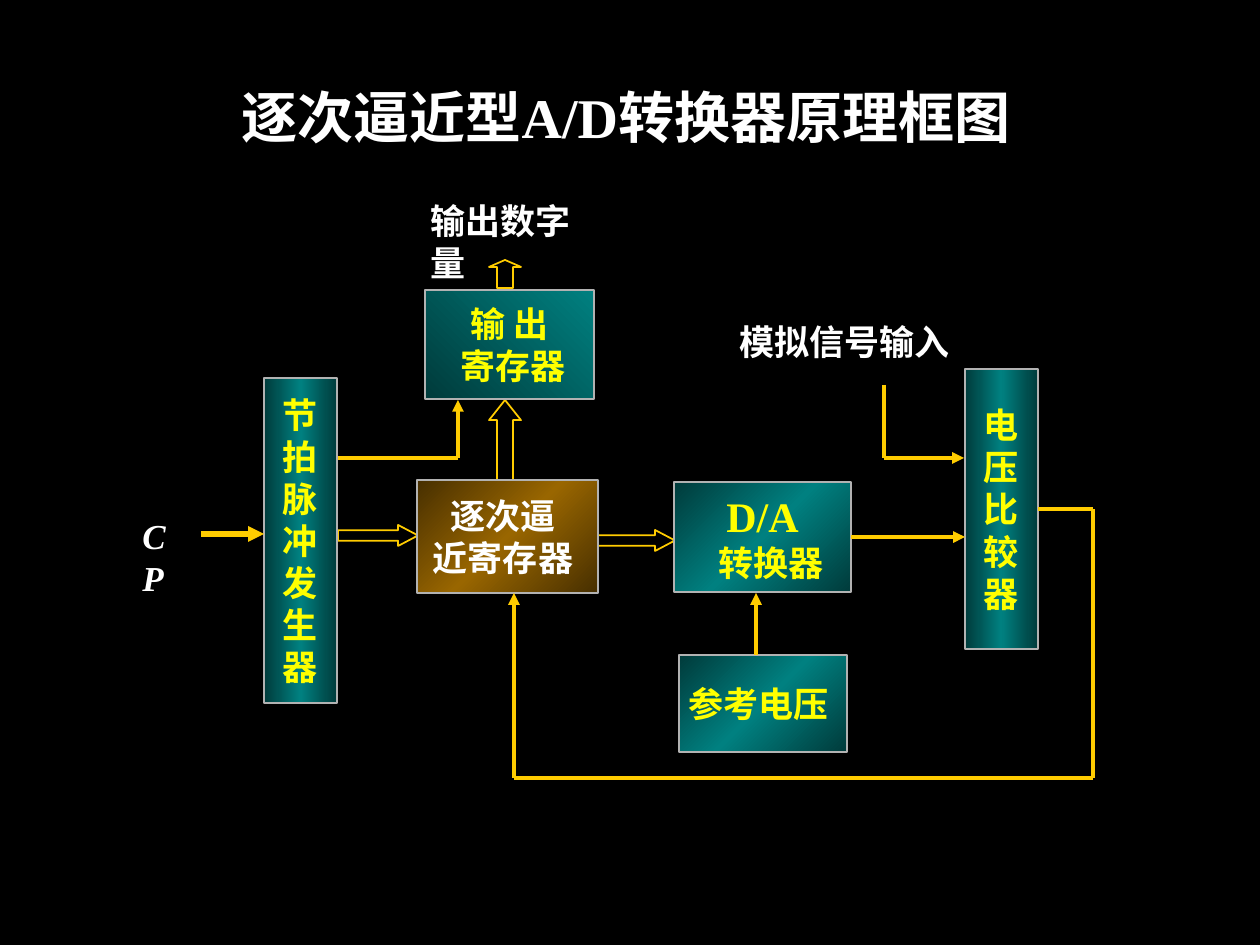
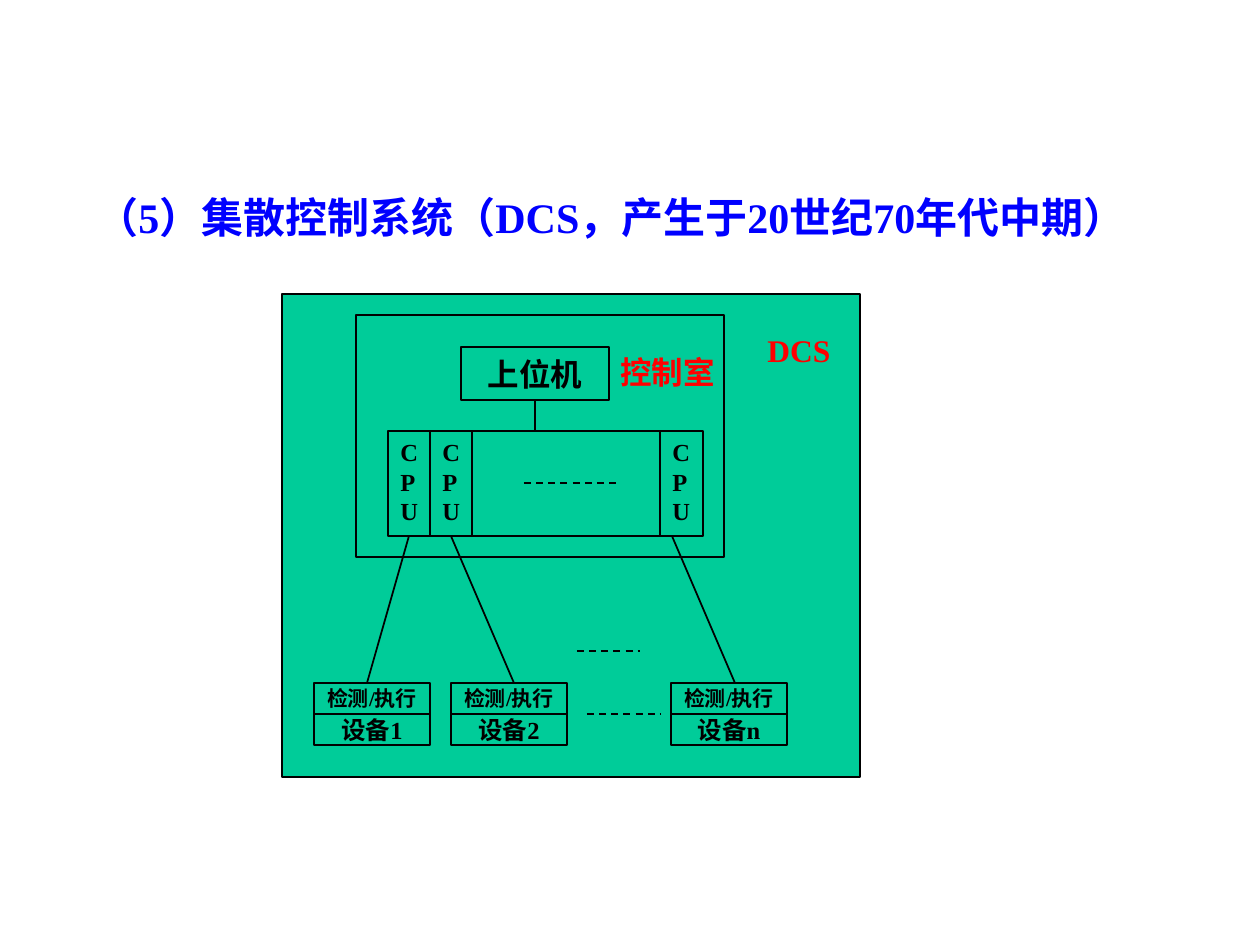
import copy
import itertools

import pptx
import pptx.util
from pptx.dml.color import RGBColor
from pptx.enum.dml import MSO_LINE
from pptx.enum.shapes import MSO_CONNECTOR, MSO_SHAPE
from pptx.enum.text import MSO_ANCHOR, MSO_AUTO_SIZE, PP_ALIGN
from pptx.oxml.ns import qn
from lxml import etree

PX = 914400 / 126
FONT = "Times New Roman"
CJK_FONT = "Noto Sans CJK SC"
BLACK = RGBColor(0x00, 0x00, 0x00)
WHITE = RGBColor(0xFF, 0xFF, 0xFF)
YELLOW = RGBColor(0xFF, 0xFF, 0x00)
GOLD = RGBColor(0xFF, 0xCC, 0x00)
GREY = RGBColor(0xB2, 0xB2, 0xB2)
BLUE = RGBColor(0x00, 0x00, 0xFF)
RED = RGBColor(0xFF, 0x00, 0x00)
GREEN = RGBColor(0x00, 0xCC, 0x99)
DARK_TEAL = RGBColor(0x00, 0x3B, 0x3B)
TEAL = RGBColor(0x00, 0x80, 0x80)
DARK_BROWN = RGBColor(0x47, 0x2F, 0x00)
BROWN = RGBColor(0x99, 0x66, 0x00)


def add_box(slide, bounds, lines=(), size=20, color=BLACK, kind=None):
    """Add a preset shape with centred text, or a plain text box if kind is None."""
    bounds = [round(length * PX) for length in bounds]
    if kind is None:
        shape = slide.shapes.add_textbox(*bounds)
        shape.text_frame.word_wrap = False
        shape.text_frame.auto_size = MSO_AUTO_SIZE.SHAPE_TO_FIT_TEXT
    else:
        shape = slide.shapes.add_shape(kind, *bounds)
        shape.shadow.inherit = False
        shape.line.width = pptx.util.Pt(1)
        frame = shape.text_frame
        frame.word_wrap = True
        frame.vertical_anchor = MSO_ANCHOR.MIDDLE
        frame.margin_left = frame.margin_right = 0
        frame.margin_top = frame.margin_bottom = 0
    if lines:
        shape.text_frame.text = "\n".join(lines)
    for paragraph in shape.text_frame.paragraphs:
        paragraph.alignment = PP_ALIGN.LEFT if kind is None else PP_ALIGN.CENTER
        paragraph.font.name = FONT
        paragraph.font.size = pptx.util.Pt(size)
        paragraph.font.bold = True
        paragraph.font.color.rgb = color
    return shape


def add_path(slide, points, color, width, arrow=False, dashed=False):
    """Join the points with straight connectors; an arrow sits on the last one."""
    connectors = []
    for start, end in itertools.pairwise(points):
        connector = slide.shapes.add_connector(
            MSO_CONNECTOR.STRAIGHT, *[round(length * PX) for length in (*start, *end)])
        connector.line.color.rgb = color
        connector.line.width = pptx.util.Pt(width)
        if dashed:
            connector.line.dash_style = MSO_LINE.DASH
        if arrow and end == points[-1]:
            line_element = connector.line._get_or_add_ln()
            etree.SubElement(line_element, qn("a:tailEnd"), type="triangle")
        etree.SubElement(connector._element.spPr, qn("a:effectLst"))
        connectors.append(connector)
    return connectors


presentation = pptx.Presentation()
presentation.slide_width = round(1260 * PX)
presentation.slide_height = round(945 * PX)
blank_layout = presentation.slide_layouts[6]

# Slide 1: successive approximation converter
slide = presentation.slides.add_slide(blank_layout)
slide.background.fill.solid()
slide.background.fill.fore_color.rgb = BLACK

add_box(slide, (229, 76, 822, 81), ["逐次逼近型A/D转换器原理框图"], 32, WHITE)
add_box(slide, (418, 193, 200, 55), ["输出数字量"], color=WHITE)
add_box(slide, (727, 314, 236, 55), ["模拟信号输入"], color=WHITE)
clock_label = add_box(slide, (130, 508, 69, 55), ["CP"], color=WHITE)
clock_label.text_frame.paragraphs[0].font.italic = True

block_arrows = [
    (MSO_SHAPE.RIGHT_ARROW, (338, 525, 80, 21), 0.95),
    (MSO_SHAPE.RIGHT_ARROW, (595, 530, 80, 21), 0.95),
    (MSO_SHAPE.UP_ARROW, (489, 400, 32, 80), 0.63),
    (MSO_SHAPE.UP_ARROW, (489, 260, 32, 28), 0.25),
]
for kind, bounds, head_length in block_arrows:
    arrow = add_box(slide, bounds, kind=kind)
    arrow.adjustments[1] = head_length
    arrow.fill.background()
    arrow.line.color.rgb = GOLD

# Name: bounds, lines, text colour, gradient colours, counter-clockwise angle
teal_band = [DARK_TEAL, TEAL, DARK_TEAL]
brown_band = [DARK_BROWN, BROWN, DARK_BROWN]
block_data = {
    "comparator": ((965, 369, 73, 280), "电压比较器", YELLOW, teal_band, 0),
    "clock": ((264, 378, 73, 325), "节拍脉冲发生器", YELLOW, teal_band, 0),
    "reference": ((679, 655, 168, 97), ["参考电压"], YELLOW, teal_band, 315),
    "approximation": ((417, 480, 181, 113), ["逐次逼", "近寄存器"], WHITE, brown_band, 315),
    "converter": ((674, 482, 177, 110), ["D/A", "转换器"], YELLOW, teal_band, 315),
    "output": ((425, 290, 169, 109), ["输 出", "寄存器"], YELLOW, [DARK_TEAL, TEAL], 45),
}
blocks = {}
for name, (bounds, lines, color, gradient, angle) in block_data.items():
    block = add_box(slide, bounds, lines, color=color, kind=MSO_SHAPE.RECTANGLE)
    block.line.color.rgb = GREY
    block.fill.gradient()
    block.fill.gradient_angle = angle
    stop_list = block._element.spPr.find(".//" + qn("a:gsLst"))
    while len(stop_list) < len(gradient):
        stop_list.append(copy.deepcopy(stop_list[0]))
    for index, stop in enumerate(block.fill.gradient_stops):
        stop.color.rgb = gradient[index]
        stop.position = index / (len(gradient) - 1)
    blocks[name] = block

# Small sideways shifts of the text inside its block
for name in ("reference", "approximation"):
    blocks[name].text_frame.margin_right = round(9 * PX)
for name, indent in (("converter", 17), ("output", 8)):
    second_line = blocks[name].text_frame.paragraphs[1]
    second_line._p.get_or_add_pPr().set("marL", str(round(indent * PX)))
blocks["converter"].text_frame.paragraphs[0].font.size = pptx.util.Pt(24)
for paragraph in blocks["output"].text_frame.paragraphs:
    paragraph.font.name = CJK_FONT

add_path(slide, [(201, 534), (264, 534)], GOLD, 3, arrow=True)
add_path(slide, [(338, 458), (458, 458), (458, 400)], GOLD, 2.25, arrow=True)
add_path(slide, [(884, 385), (884, 458), (964, 458)], GOLD, 2.25, arrow=True)
add_path(slide, [(756, 655), (756, 593)], GOLD, 2.25, arrow=True)
to_comparator = add_path(slide, [(851, 537), (965, 537)], GOLD, 2.25, arrow=True)
to_comparator[0].begin_connect(blocks["converter"], 3)
feedback = add_path(
    slide, [(1038, 509), (1093, 509), (1093, 778), (514, 778), (514, 593)],
    GOLD, 2.25, arrow=True)
feedback[0].begin_connect(blocks["comparator"], 3)

# Slide 2: distributed control system
slide = presentation.slides.add_slide(blank_layout)
title = add_box(slide, (84, 185, 1152, 63),
                ["（5）集散控制系统（DCS，产生于20世纪70年代中期）"], 24, BLUE)
title.text_frame.word_wrap = True
title.text_frame.vertical_anchor = MSO_ANCHOR.MIDDLE

green_boxes = [
    ((282, 294, 578, 483), [], 18),
    ((356, 315, 368, 242), [], 18),
    ((388, 431, 315, 105), [], 18),
    ((461, 347, 148, 53), ["上位机"], 18),
]
for left, number in ((314, "1"), (451, "2"), (671, "n")):
    green_boxes.append(((left, 683, 116, 31), ["检测/执行"], 12))
    green_boxes.append(((left, 714, 116, 31), ["设备" + number], 14))
for bounds, lines, size in green_boxes:
    box = add_box(slide, bounds, lines, size, kind=MSO_SHAPE.RECTANGLE)
    box.fill.solid()
    box.fill.fore_color.rgb = GREEN
    box.line.color.rgb = BLACK
    if lines == ["上位机"]:
        host = box

for left in (388, 430, 660):
    add_box(slide, (left, 431, 43, 101), "CPU", 14)
for x in (430, 472, 660):
    add_path(slide, [(x, 431), (x, 536)], BLACK, 1)
for cpu_x, device_x in ((409, 367), (451, 514), (672, 735)):
    add_path(slide, [(cpu_x, 536), (device_x, 683)], BLACK, 1)
for left, right, y in ((524, 619, 483), (577, 640, 651), (587, 660, 714)):
    add_path(slide, [(left, y), (right, y)], BLACK, 1, dashed=True)
host_link = add_path(slide, [(535, 400), (535, 431)], BLACK, 1)
host_link[0].begin_connect(host, 2)

add_box(slide, (755, 325, 88, 50), ["DCS"], 18, RED)
add_box(slide, (608, 347, 120, 50), ["控制室"], 18, RED)

presentation.save("out.pptx")
